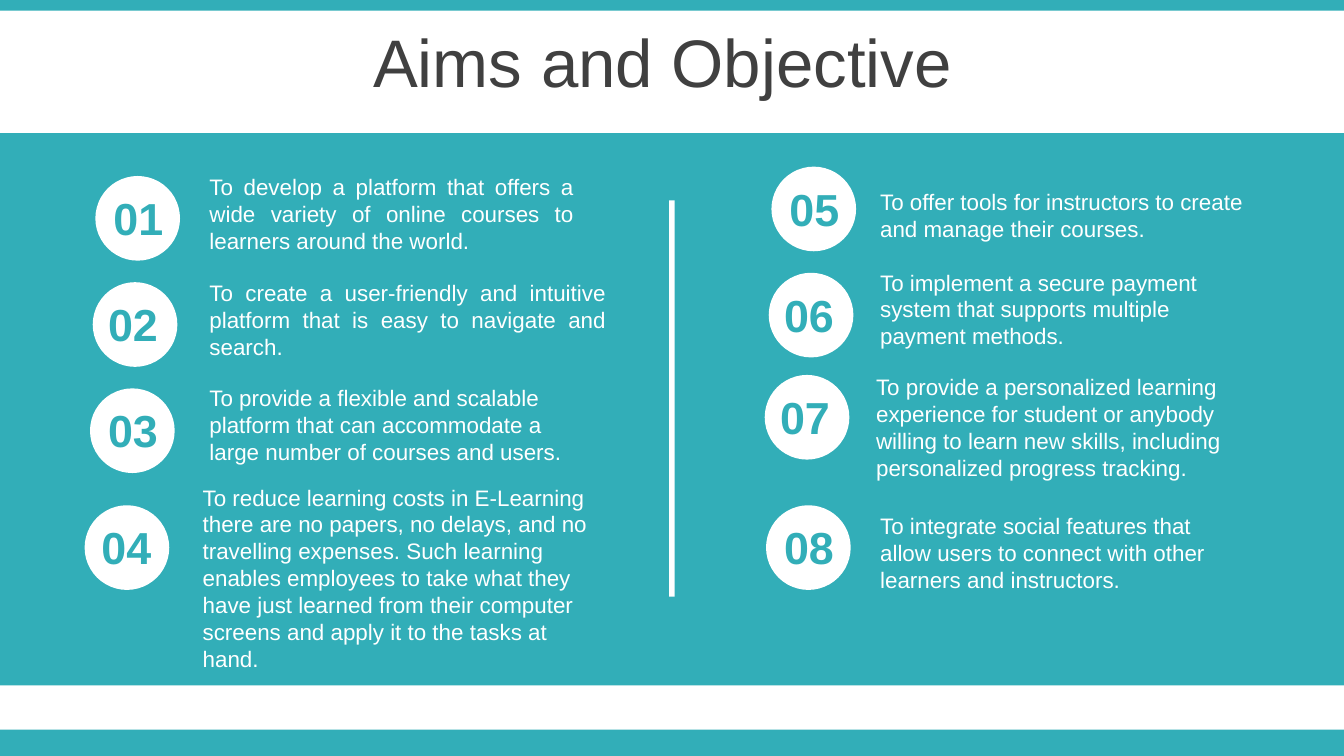
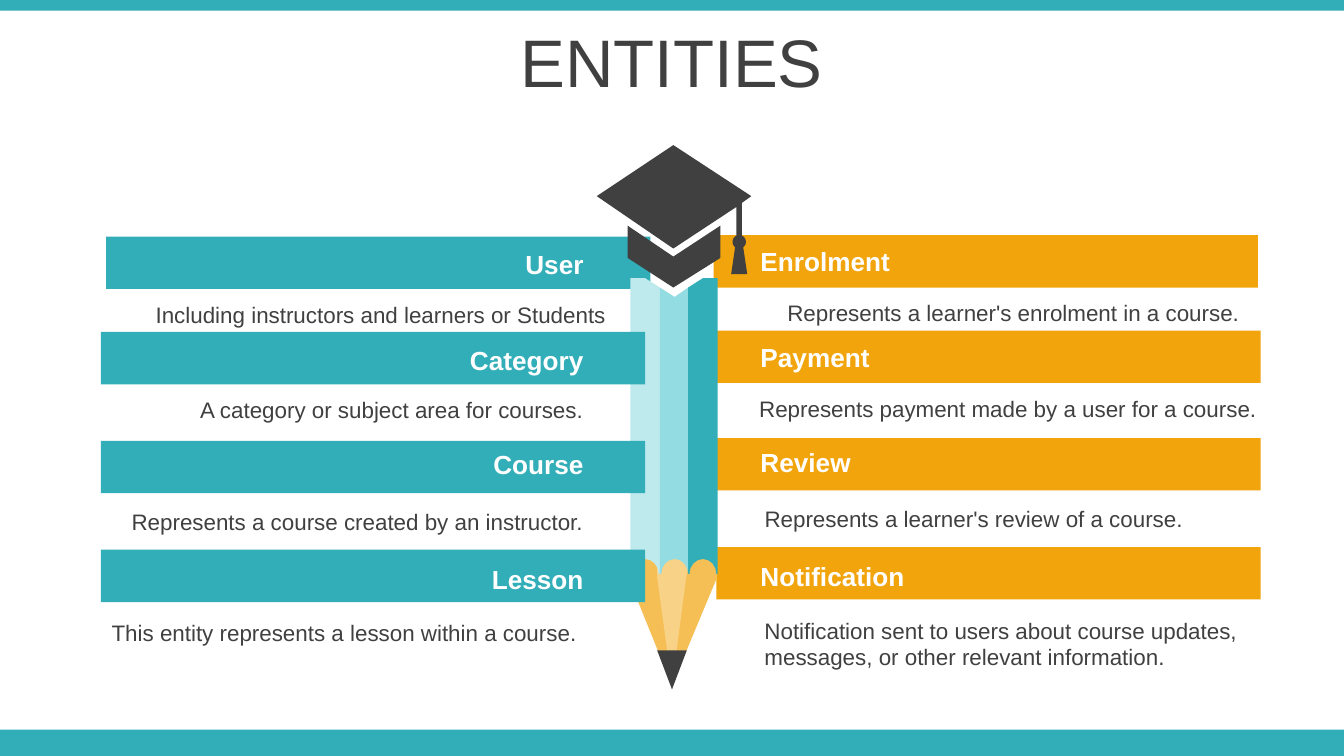
import math
from dataclasses import dataclass

import pptx
import pptx.dml.color
import pptx.enum.shapes
import pptx.enum.text
import pptx.presentation
import pptx.shapes.autoshape
import pptx.slide
import pptx.util

Inches = pptx.util.Inches
RGBColor = pptx.dml.color.RGBColor
Shape = pptx.enum.shapes.MSO_SHAPE
Align = pptx.enum.text.PP_ALIGN
Point = tuple[float, float]

TEAL = RGBColor(0x32, 0xAE, 0xB8)
TEAL_MIDDLE = RGBColor(0x92, 0xDC, 0xE2)
TEAL_PALE = RGBColor(0xBE, 0xEA, 0xED)
ORANGE = RGBColor(0xF2, 0xA4, 0x0D)
WOOD = RGBColor(0xF6, 0xBF, 0x56)
WOOD_PALE = RGBColor(0xF8, 0xD2, 0x86)
DARK = RGBColor(0x40, 0x40, 0x40)
WHITE = RGBColor(0xFF, 0xFF, 0xFF)

FONT = "Arial"
PAGE_WIDTH = 10
PAGE_HEIGHT = PAGE_WIDTH * 9 / 16
DISC_SIZE = 0.63
BAND_WIDTH = 4.05
BAND_HEIGHT = 0.39
CURVE_STEPS = 8


@dataclass(frozen=True)
class TextStyle:
    size: float
    color: RGBColor
    bold: bool = False


@dataclass(frozen=True)
class Objective:
    disc_left: float
    disc_top: float
    number_left: float
    text_left: float
    text_top: float
    text_width: float
    text_height: float
    text: str
    align: Align = Align.LEFT


@dataclass(frozen=True)
class Entity:
    name: str
    band_left: float
    band_top: float
    name_top: float
    note_left: float
    note_top: float
    note_width: float
    note: str
    note_height: float = 0.3


@dataclass(frozen=True)
class EntitySide:
    color: RGBColor
    name_left: float
    align: Align
    entities: tuple[Entity, ...]


TITLE = TextStyle(36, DARK)
NUMBER = TextStyle(24, TEAL, True)
OBJECTIVE = TextStyle(12, WHITE)
ENTITY_NAME = TextStyle(14, WHITE, True)
ENTITY_NOTE = TextStyle(12, DARK)

OBJECTIVES = (
    Objective(0.71, 1.31, 0.68, 1.46, 1.24, 2.91, 0.71,
              "To develop a platform that offers a wide variety of online courses "
              "to learners around the world.", Align.JUSTIFY),
    Objective(0.69, 2.1, 0.64, 1.46, 2.03, 3.15, 0.71,
              "To create a user-friendly and intuitive platform that is easy to "
              "navigate and search.", Align.JUSTIFY),
    Objective(0.67, 2.89, 0.64, 1.46, 2.81, 2.91, 0.71,
              "To provide a flexible and scalable platform that can accommodate a "
              "large number of courses and users."),
    Objective(0.63, 3.76, 0.59, 1.41, 3.55, 3.2, 1.31,
              "To reduce learning costs in E-Learning there are no papers, no delays, "
              "and no travelling expenses. Such learning enables employees to take what "
              "they have just learned from their computer screens and apply it to the "
              "tasks at hand."),
    Objective(5.74, 1.24, 5.71, 6.45, 1.35, 2.91, 0.5,
              "To offer tools for instructors to create and manage their courses."),
    Objective(5.72, 2.03, 5.67, 6.45, 1.95, 2.91, 0.71,
              "To implement a secure payment system that supports multiple payment "
              "methods."),
    Objective(5.69, 2.79, 5.64, 6.42, 2.73, 2.91, 0.91,
              "To provide a personalized learning experience for student or anybody "
              "willing to learn new skills, including personalized progress tracking."),
    Objective(5.7, 3.76, 5.67, 6.45, 3.76, 2.91, 0.71,
              "To integrate social features that allow users to connect with other "
              "learners and instructors."),
)

LEFT_SIDE = EntitySide(TEAL, 1.85, Align.RIGHT, (
    Entity("User", 0.79, 1.76, 1.8, 0.75, 2.19, 3.86,
           "Including instructors and learners or Students"),
    Entity("Category", 0.75, 2.47, 2.51, 0.86, 2.9, 3.58,
           "A category or subject area for courses."),
    Entity("Course", 0.75, 3.28, 3.29, 0.86, 3.73, 3.58,
           "Represents a course created by an instructor. "),
    Entity("Lesson", 0.75, 4.09, 4.14, 0.58, 4.56, 3.86,
           "This entity represents a lesson within a course. "),
))
RIGHT_SIDE = EntitySide(ORANGE, 5.56, Align.LEFT, (
    Entity("Enrolment", 5.31, 1.75, 1.78, 5.76, 2.18, 3.58,
           "Represents a learner's enrolment in a course."),
    Entity("Payment", 5.33, 2.46, 2.49, 5.55, 2.89, 4.05,
           "Represents payment made by a user for a course."),
    Entity("Review", 5.33, 3.26, 3.27, 5.59, 3.71, 3.58,
           "Represents a learner's review of a course."),
    Entity("Notification", 5.33, 4.07, 4.12, 5.59, 4.54, 3.83,
           "Notification sent to users about course updates, messages, or other "
           "relevant information.", 0.5),
))


def paint(shape: pptx.shapes.autoshape.Shape, color: RGBColor) -> None:
    shape.shadow.inherit = False
    shape.fill.solid()
    shape.fill.fore_color.rgb = color
    shape.line.fill.background()


def add_block(page: pptx.slide.Slide, kind: Shape, left: float, top: float,
              width: float, height: float, color: RGBColor,
              rotation: float = 0) -> None:
    block = page.shapes.add_shape(
        kind, Inches(left), Inches(top), Inches(width), Inches(height))
    block.rotation = rotation
    paint(block, color)


def add_text(page: pptx.slide.Slide, left: float, top: float, width: float,
             height: float, text: str, style: TextStyle,
             align: Align) -> pptx.shapes.autoshape.Shape:
    box = page.shapes.add_textbox(
        Inches(left), Inches(top), Inches(width), Inches(height))
    box.text_frame.word_wrap = True
    box.text_frame.auto_size = pptx.enum.text.MSO_AUTO_SIZE.SHAPE_TO_FIT_TEXT
    para = box.text_frame.paragraphs[0]
    para.text = text
    para.alignment = align
    para.font.name = FONT
    para.font.size = pptx.util.Pt(style.size)
    para.font.bold = style.bold
    para.font.color.rgb = style.color
    return box


def add_outline(page: pptx.slide.Slide, color: RGBColor,
                *contours: list[Point]) -> None:
    scaled = [[(Inches(x), Inches(y)) for x, y in contour] for contour in contours]
    builder = page.shapes.build_freeform(*scaled[0][0])
    builder.add_line_segments(scaled[0][1:], close=True)
    for contour in scaled[1:]:
        builder.move_to(*contour[0])
        builder.add_line_segments(contour[1:], close=True)
    paint(builder.convert_to_shape(), color)


def arc(center_x: float, center_y: float, radius_x: float, radius_y: float,
        start: float, end: float) -> list[Point]:
    angles = [math.radians(start + (end - start) * step / CURVE_STEPS)
              for step in range(CURVE_STEPS + 1)]
    return [(center_x + radius_x * math.cos(angle), center_y - radius_y * math.sin(angle))
            for angle in angles]


def add_page(deck: pptx.presentation.Presentation, title: str) -> pptx.slide.Slide:
    page = deck.slides.add_slide(deck.slide_layouts[6])
    add_block(page, Shape.RECTANGLE, 0, 5.43, PAGE_WIDTH, 0.2, TEAL)
    add_block(page, Shape.RECTANGLE, 0, 0, PAGE_WIDTH, 0.08, TEAL)
    box = add_text(page, 0, 0.14, PAGE_WIDTH, 0.63, title, TITLE, Align.CENTER)
    box.text_frame.auto_size = pptx.enum.text.MSO_AUTO_SIZE.NONE
    box.text_frame.vertical_anchor = pptx.enum.text.MSO_ANCHOR.MIDDLE
    box.text_frame.paragraphs[0].space_before = pptx.util.Pt(3.6)
    return page


def add_objective(page: pptx.slide.Slide, number: int, item: Objective) -> None:
    add_block(page, Shape.OVAL, item.disc_left, item.disc_top, DISC_SIZE, DISC_SIZE, WHITE)
    add_text(page, item.number_left, item.disc_top + 0.06, 0.7, 0.5,
             f"{number:02}", NUMBER, Align.CENTER)
    add_text(page, item.text_left, item.text_top, item.text_width, item.text_height,
             item.text, OBJECTIVE, item.align)


def add_bands(page: pptx.slide.Slide, side: EntitySide,
              entities: tuple[Entity, ...]) -> None:
    for entity in entities:
        add_block(page, Shape.RECTANGLE, entity.band_left, entity.band_top,
                  BAND_WIDTH, BAND_HEIGHT, side.color)


def add_entity_texts(page: pptx.slide.Slide, side: EntitySide) -> None:
    for entity in side.entities:
        add_text(page, side.name_left, entity.name_top, 2.59, 0.34,
                 entity.name, ENTITY_NAME, side.align)
        add_text(page, entity.note_left, entity.note_top, entity.note_width,
                 entity.note_height, entity.note, ENTITY_NOTE, side.align)


def add_pencil(page: pptx.slide.Slide) -> None:
    add_outline(page, WOOD, [(4.68, 4.15), (5.33, 4.16), (5.33, 4.31), (5, 5.1), (4.68, 4.31)])
    add_outline(page, WOOD_PALE, [(4.89, 4.15), (5.11, 4.15), (5.11, 4.26), (5, 5.1), (4.89, 4.3)])
    strips = (
        (4.69, TEAL_PALE, [(4.69, 2.07), (4.8, 2.07), (4.91, 2.14)]),
        (4.91, TEAL_MIDDLE, [(4.91, 2.14), (5.02, 2.21), (5.12, 2.14)]),
        (5.12, TEAL, [(5.12, 2.14), (5.23, 2.07), (5.34, 2.07)]),
    )
    for left, color, top_edge in strips:
        scallop = arc(left + 0.11, 4.27, 0.1, 0.11, 0, 180)
        add_outline(page, color, [*top_edge, (top_edge[-1][0], 4.27), *scallop, (left, 4.27)])
    add_block(page, Shape.ISOSCELES_TRIANGLE, 4.89, 4.84, 0.22, 0.29, DARK, 180)


def add_graduation_cap(page: pptx.slide.Slide) -> None:
    skull = [(4.67, 1.68), (5.01, 1.91), (5.36, 1.68), (5.36, 1.92), (5.01, 2.14), (4.67, 1.92)]
    board = [(5.01, 1.08), (5.59, 1.46), (5.52, 1.51),
             *arc(5.5, 1.8, 0.05, 0.05, 66, -53),
             (5.56, 2.04), (5.44, 2.04),
             *arc(5.5, 1.8, 0.05, 0.05, 233, 114),
             (5.48, 1.54), (5.01, 1.85), (4.44, 1.46)]
    add_outline(page, DARK, skull, board)


def build_objectives(deck: pptx.presentation.Presentation) -> None:
    page = add_page(deck, "Aims and Objective ")
    add_block(page, Shape.RECTANGLE, 0, 0.99, PAGE_WIDTH, 4.11, TEAL)
    add_block(page, Shape.RECTANGLE, 4.98, 1.49, 0.04, 2.95, WHITE)
    for number, item in enumerate(OBJECTIVES, start=1):
        add_objective(page, number, item)


def build_entities(deck: pptx.presentation.Presentation) -> None:
    page = add_page(deck, "ENTITIES")
    add_bands(page, RIGHT_SIDE, RIGHT_SIDE.entities)
    add_bands(page, LEFT_SIDE, LEFT_SIDE.entities[:1])
    add_pencil(page)
    add_graduation_cap(page)
    add_bands(page, LEFT_SIDE, LEFT_SIDE.entities[1:])
    add_entity_texts(page, LEFT_SIDE)
    add_entity_texts(page, RIGHT_SIDE)


def main() -> None:
    deck = pptx.Presentation()
    deck.slide_width = Inches(PAGE_WIDTH)
    deck.slide_height = Inches(PAGE_HEIGHT)
    build_objectives(deck)
    build_entities(deck)
    deck.save("out.pptx")


if __name__ == "__main__":
    main()
